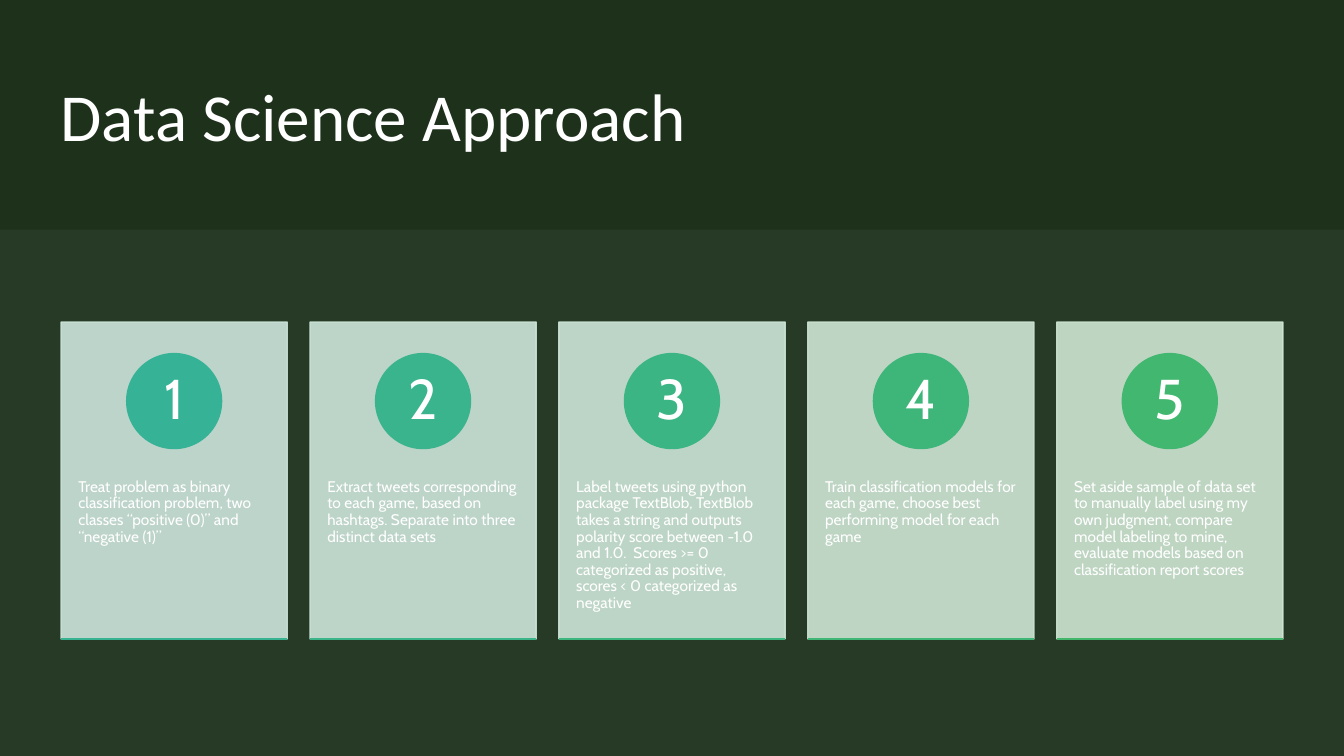
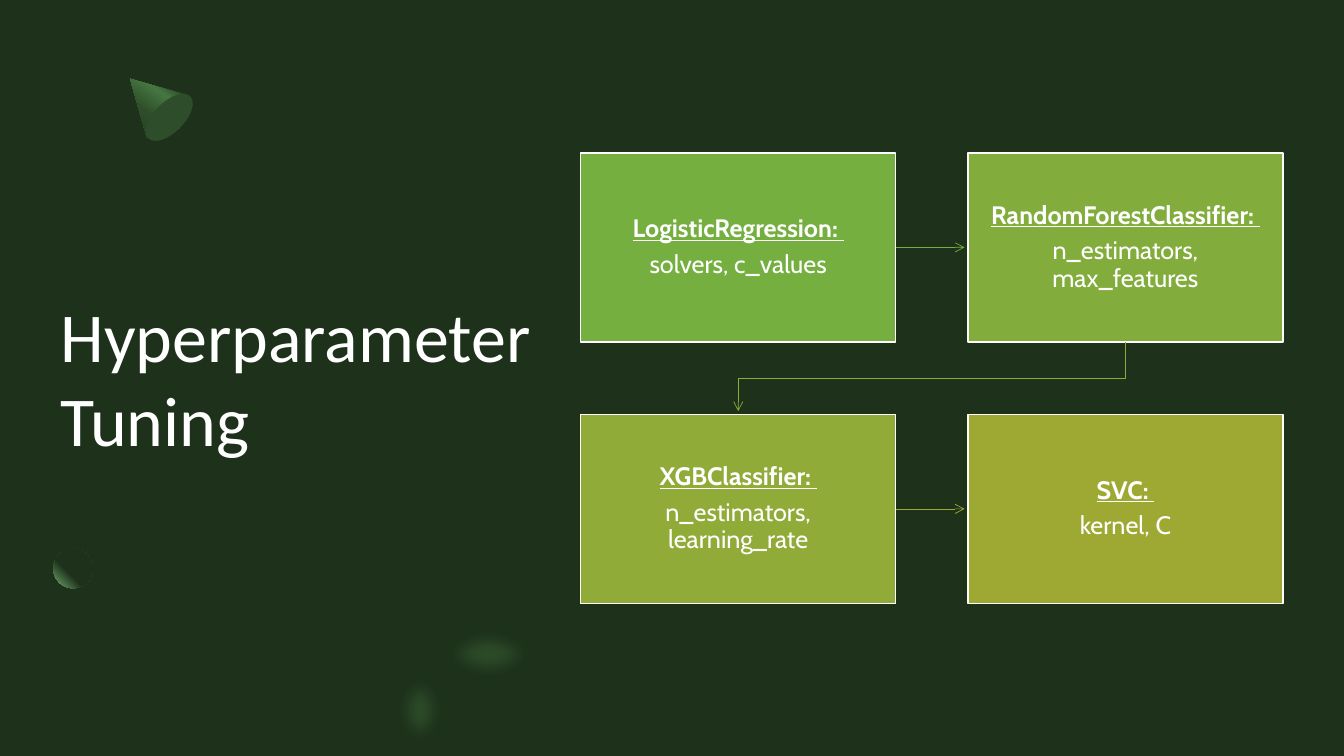
from dataclasses import dataclass

from lxml import etree
from pptx import Presentation
from pptx.dml import color
from pptx.enum import shapes, text
from pptx.oxml import ns
from pptx.util import Pt


@dataclass(frozen=True)
class Theme:
    bg: str = "1D311B"
    white: str = "FFFFFF"
    band: str = "E4F0E3"
    leaf: str = "2E4D2A"
    leaf_bright: str = "467742"
    leaf_pale: str = "79B273"
    card: tuple = ("CEE5DD", "CFE6D4")
    accent: tuple = ("36B396", "42B76B")
    flow: tuple = ("75AF40", "9DA933")
    head_font: str = "Calibri"
    body_font: str = "Cabin"
    small: int = 11
    body: int = 18
    number: int = 40
    title: int = 48
    title_large: int = 50


T = Theme()
W, H = 960, 540
MARGIN = 43.2

STEPS = [
    "Treat problem as binary classification problem, two classes “positive (0)” and “negative (1)”",
    "Extract tweets corresponding to each game, based on hashtags. Separate into three distinct data sets",
    "Label tweets using python package TextBlob, TextBlob takes a string and outputs polarity score "
    "between -1.0 and 1.0.  Scores >= 0 categorized as positive, scores < 0 categorized as negative",
    "Train classification models for each game, choose best performing model for each game",
    "Set aside sample of data set to manually label using my own judgment, compare model labeling "
    "to mine, evaluate models based on classification report scores",
]

MODELS = [
    ("LogisticRegression: ", "solvers, c_values"),
    ("RandomForestClassifier: ", "n_estimators, max_features"),
    ("XGBClassifier: ", "n_estimators, learning_rate"),
    ("SVC: ", "kernel, C"),
]


def rgb(value):
    return color.RGBColor.from_string(value)


def blend(ends, t):
    a, b = (rgb(e) for e in ends)
    return "".join(f"{round(x + (y - x) * t):02X}" for x, y in zip(a, b))


def child(parent, tag, **attrs):
    el = etree.SubElement(parent, ns.qn(tag))
    for key, value in attrs.items():
        el.set(key, str(value))
    return el


def set_alpha(fmt, percent):
    clr = fmt.fore_color._xFill.find(ns.qn("a:srgbClr"))
    child(clr, "a:alpha", val=percent * 1000)


def paint(sp, fill, line=None, alpha=None):
    sp.shadow.inherit = False
    sp.fill.solid()
    sp.fill.fore_color.rgb = rgb(fill)
    if line:
        sp.line.color.rgb = rgb(line)
        sp.line.width = Pt(1)
    else:
        sp.line.fill.background()
    if alpha:
        set_alpha(sp.fill, alpha)
        if line:
            set_alpha(sp.line.fill, alpha)


def add_box(s, kind, x, y, w, h, fill, line=None, alpha=None):
    sp = s.shapes.add_shape(kind, Pt(x), Pt(y), Pt(w), Pt(h))
    paint(sp, fill, line, alpha)
    return sp


def paint_gradient(sp, stops, angle=None, focus=None):
    paint(sp, T.bg)
    solid = sp._element.spPr.find(ns.qn("a:solidFill"))
    grad = etree.Element(ns.qn("a:gradFill"), rotWithShape="1")
    stop_list = child(grad, "a:gsLst")
    for pos, value in stops:
        child(child(stop_list, "a:gs", pos=pos * 1000), "a:srgbClr", val=value)
    if focus:
        child(child(grad, "a:path", path="circle"), "a:fillToRect", **focus)
    else:
        child(grad, "a:lin", ang=angle * 60000, scaled=0)
    solid.getparent().replace(solid, grad)


def soften(sp, radius):
    effects = sp._element.spPr.find(ns.qn("a:effectLst"))
    child(effects, "a:softEdge", rad=Pt(radius))


def set_frame(sp, insets, anchor):
    tf = sp.text_frame
    tf.word_wrap = True
    tf.auto_size = text.MSO_AUTO_SIZE.NONE
    tf.margin_left = tf.margin_right = Pt(insets[0])
    tf.margin_top, tf.margin_bottom = Pt(insets[1]), Pt(insets[2])
    tf.vertical_anchor = anchor
    return tf


def style(p, size, align=text.PP_ALIGN.LEFT, font=T.body_font):
    p.alignment = align
    p.font.size = Pt(size)
    p.font.name = font
    p.font.color.rgb = rgb(T.white)


def write(sp, lines, size, align, insets, anchor=text.MSO_ANCHOR.MIDDLE):
    tf = set_frame(sp, insets, anchor)
    tf.text = "\n".join(lines)
    for p in tf.paragraphs:
        style(p, size, align)
        p.line_spacing = 0.9
        p.space_after = Pt(round(size * 0.35))
    return tf


def add_line(s, x1, y1, x2, y2, value, width=1, kind=shapes.MSO_CONNECTOR.STRAIGHT, arrow=False):
    c = s.shapes.add_connector(kind, Pt(x1), Pt(y1), Pt(x2), Pt(y2))
    c.line.color.rgb = rgb(value)
    c.line.width = Pt(width)
    if arrow:
        child(c.line._get_or_add_ln(), "a:tailEnd", type="arrow")
    child(c._element.spPr, "a:effectLst")
    return c


def add_down_elbow(s, x1, y1, x2, y2, bend, value, width):
    cx, cy = (x1 + x2) / 2, (y1 + y2) / 2
    across, down = (x1 - x2) / 2, (y2 - y1) / 2
    c = add_line(s, cx - down, cy - across, cx + down, cy + across, value, width,
                 shapes.MSO_CONNECTOR.ELBOW, arrow=True)
    spPr = c._element.spPr
    spPr.find(ns.qn("a:xfrm")).set("rot", str(90 * 60000))
    guides = spPr.find(ns.qn("a:prstGeom")).find(ns.qn("a:avLst"))
    share = round((bend - y1) / (y2 - y1) * 100000)
    child(guides, "a:gd", name="adj1", fmla=f"val {share}")


def add_slide(prs, title, size, x, y, w, h):
    s = prs.slides.add_slide(prs.slide_layouts[5])
    sp = s.shapes.title
    sp.left, sp.top, sp.width, sp.height = Pt(x), Pt(y), Pt(w), Pt(h)
    tf = set_frame(sp, (0, 0, 0), text.MSO_ANCHOR.MIDDLE)
    tf.text = title
    style(tf.paragraphs[0], size, font=T.head_font)
    return s


def add_step(s, i, body):
    x, y, w, h = 43.6 + 177.8 * i, 230, 161.6, 226.4
    circle = 67.8
    value = blend(T.card, i / 4)
    card = add_box(s, shapes.MSO_SHAPE.RECTANGLE, x, y, w, h, value, value, 90)
    write(card, [body], T.small, text.PP_ALIGN.LEFT, (12.4, 112, 0), text.MSO_ANCHOR.TOP)
    value = blend(T.accent, 2 * i / 9)
    badge = add_box(s, shapes.MSO_SHAPE.OVAL, x + (w - circle) / 2, y + 22.6, circle, circle, value, value)
    write(badge, [str(i + 1)], T.number, text.PP_ALIGN.CENTER, (5, 1, 1))
    add_line(s, x, y + h, x + w, y + h, blend(T.accent, (2 * i + 1) / 9))


def add_cone(s):
    cx, top, side, low, bottom = 110.5, 48.9, 87.1, 94.8, 98.7
    outline = [(21.2, side), (14.5, low), (0, bottom), (-14.5, low), (-21.2, side)]
    fb = s.shapes.build_freeform(Pt(cx), Pt(top), scale=1.0)
    fb.add_line_segments([(Pt(cx + dx), Pt(y)) for dx, y in outline])
    cone = fb.convert_to_shape()
    cone.rotation = 315
    paint_gradient(cone, [(30, T.leaf), (40, T.leaf_bright), (60, T.leaf), (100, T.bg)], angle=170)
    base = add_box(s, shapes.MSO_SHAPE.OVAL, 110.2, 62.6, 21.4, 42.5, T.leaf)
    base.rotation = 45


def add_decor(s):
    add_cone(s)
    ball = add_box(s, shapes.MSO_SHAPE.OVAL, 38, 391.9, 28.4, 28.4, T.bg)
    paint_gradient(ball, [(60, T.bg), (100, T.leaf_pale)], focus={"l": 100000, "b": 100000})
    for x, y, w, h in ((310, 446, 78, 42), (279, 475, 42, 74)):
        soften(add_box(s, shapes.MSO_SHAPE.OVAL, x, y, w, min(h, H - y), T.leaf), 11)


def add_flow(s):
    x, y, w, h, dx, dy = 414.8, 109.2, 225, 135, 276.6, 186.8
    gap, width = 2.4, 0.5
    for i, lines in enumerate(MODELS):
        row, col = divmod(i, 2)
        box = add_box(s, shapes.MSO_SHAPE.RECTANGLE, x + dx * col, y + dy * row, w, h,
                      blend(T.flow, i / 3), T.white)
        tf = write(box, lines, T.body, text.PP_ALIGN.CENTER, (10.8, 11.4, 11.4))
        tf.paragraphs[0].font.bold = True
        tf.paragraphs[0].font.underline = True
    for row in range(2):
        mid = y + dy * row + h / 2
        add_line(s, x + w, mid, x + dx - gap, mid, blend(T.flow, row), width, arrow=True)
    add_down_elbow(s, x + dx + w / 2, y + h, x + w / 2, y + dy - gap, y + (h + dy) / 2,
                   blend(T.flow, 0.5), width)


def main():
    prs = Presentation()
    prs.slide_width, prs.slide_height = Pt(W), Pt(H)
    fill = prs.slide_master.background.fill
    fill.solid()
    fill.fore_color.rgb = rgb(T.bg)

    s = add_slide(prs, "Data Science Approach", T.title, MARGIN, 43.2, 575, 78)
    add_box(s, shapes.MSO_SHAPE.RECTANGLE, 0, 164, W, H - 164, T.band, alpha=5)
    for i, body in enumerate(STEPS):
        add_step(s, i, body)

    s = add_slide(prs, "Hyperparameter Tuning", T.title_large, MARGIN, 120, 357, 297.6)
    add_decor(s)
    add_flow(s)

    prs.save("out.pptx")


if __name__ == "__main__":
    main()
